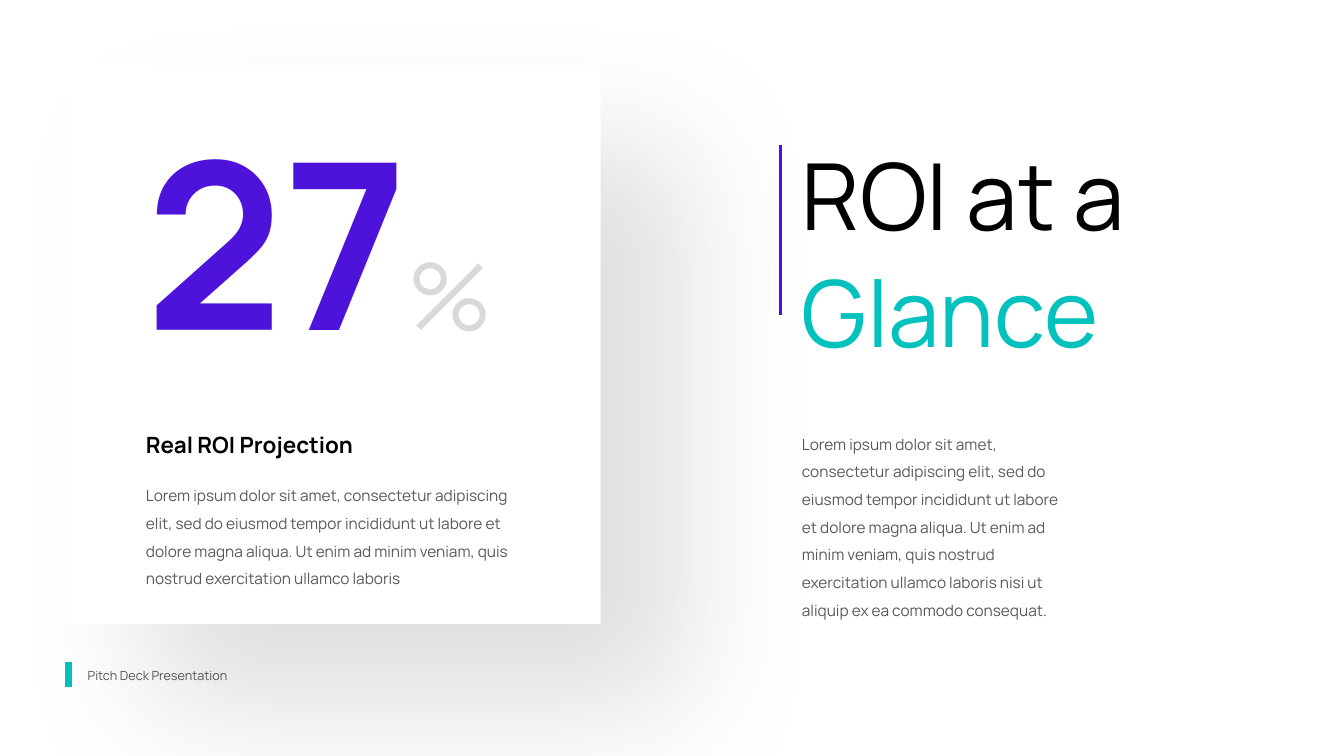
from dataclasses import dataclass

from lxml.etree import SubElement
from pptx import Presentation
from pptx.dml.color import RGBColor
from pptx.enum.shapes import MSO_CONNECTOR as Connector, MSO_SHAPE as Preset
from pptx.enum.text import MSO_ANCHOR as Anchor, MSO_AUTO_SIZE as AutoSize, PP_ALIGN as Align
from pptx.oxml.ns import qn
from pptx.util import Cm, Pt

COLORS = {
    "white": "FFFFFF",
    "black": "000000",
    "gray": "595959",
    "silver": "D9D9D9",
    "teal": "03C2BD",
    "violet": "4E13DB",
}
FONT = "Manrope"
CARD_TEXT_LEFT = 3.43
RIGHT_TEXT_LEFT = 19.96
LOREM = (
    "Lorem ipsum dolor sit amet, consectetur adipiscing elit, sed do eiusmod tempor "
    "incididunt ut labore et dolore magna aliqua. Ut enim ad minim veniam, quis nostrud "
    "exercitation ullamco laboris"
)


@dataclass(frozen=True)
class Run:
    text: str
    size: float
    color: str
    bold: bool = False


@dataclass(frozen=True)
class TextBlock:
    box: tuple[float, float, float, float]
    paragraphs: tuple[tuple[Run, ...], ...]
    line_spacing: float = 1.0


@dataclass(frozen=True)
class Bar:
    x: float
    top: float
    bottom: float
    color: str
    width: float


TITLE = TextBlock(
    (RIGHT_TEXT_LEFT, 3.18, 8.74, 6.07),
    ((Run("ROI at a", 66, "black"),), (Run("Glance", 66, "teal"),)),
    1.06,
)
FOOTER = TextBlock((1.96, 16.69, 4.17, 0.64), ((Run("Pitch Deck Presentation", 9, "gray"),),))
BLOCKS = (
    TextBlock(
        (CARD_TEXT_LEFT, 2.34, 9.3, 7.34),
        ((Run("27", 166, "violet", True), Run("%", 66, "silver")),),
    ),
    TextBlock(
        (CARD_TEXT_LEFT, 10.74, 5.82, 0.94),
        ((Run("Real ROI Projection", 16, "black", True),),),
    ),
    TextBlock((CARD_TEXT_LEFT, 11.89, 10.03, 2.84), ((Run(LOREM, 11, "gray"),),), 1.5),
    TextBlock(
        (RIGHT_TEXT_LEFT, 10.59, 6.99, 5.13),
        ((Run(LOREM + " nisi ut aliquip ex ea commodo consequat.", 11, "gray"),),),
        1.5,
    ),
)
BARS = (
    Bar(1.73, 16.69, 17.32, "teal", 5.25),
    Bar(19.66, 3.66, 7.95, "violet", 2),
)


def rgb(name: str) -> RGBColor:
    return RGBColor.from_string(COLORS[name])


def apply_format(target, values: dict) -> None:
    for name, value in values.items():
        setattr(target, name, value)


def write_text(shape, block: TextBlock) -> None:
    left, top, width, height = map(Cm, block.box)
    apply_format(shape, {"left": left, "top": top, "width": width, "height": height})
    frame = shape.text_frame
    apply_format(frame, {
        "word_wrap": True, "auto_size": AutoSize.SHAPE_TO_FIT_TEXT, "vertical_anchor": Anchor.TOP,
        "margin_left": Cm(0.25), "margin_right": Cm(0.25),
        "margin_top": Cm(0.13), "margin_bottom": Cm(0.13),
    })
    for index, runs in enumerate(block.paragraphs):
        paragraph = frame.add_paragraph() if index else frame.paragraphs[0]
        apply_format(paragraph, {
            "alignment": Align.LEFT, "line_spacing": block.line_spacing, "space_before": Pt(0),
        })
        for item in runs:
            run = paragraph.add_run()
            run.text = item.text
            apply_format(run.font, {"name": FONT, "size": Pt(item.size), "bold": item.bold})
            run.font.color.rgb = rgb(item.color)


def add_text(slide, block: TextBlock) -> None:
    write_text(slide.shapes.add_textbox(*map(Cm, block.box)), block)


def add_bar(slide, bar: Bar) -> None:
    line = slide.shapes.add_connector(
        Connector.STRAIGHT, Cm(bar.x), Cm(bar.top), Cm(bar.x), Cm(bar.bottom)
    )
    line.line.color.rgb = rgb(bar.color)
    line.line.width = Pt(bar.width)
    SubElement(line._element.spPr, qn("a:effectLst"))


def add_card(slide) -> None:
    card = slide.shapes.add_shape(Preset.RECTANGLE, Cm(1.63), Cm(1.63), Cm(13.51), Cm(14.1))
    card.fill.solid()
    card.fill.fore_color.rgb = rgb("white")
    card.line.fill.background()
    card.shadow.inherit = False
    # Soft shadow falling to the lower right
    effects = card._element.spPr.find(qn("a:effectLst"))
    shadow = SubElement(
        effects, qn("a:outerShdw"), blurRad=str(Pt(100)), dist=str(Pt(84.5)),
        dir=str(44 * 60000), algn="tl", rotWithShape="0",
    )
    color = SubElement(shadow, qn("a:srgbClr"), val=COLORS["black"])
    SubElement(color, qn("a:alpha"), val="13000")


def main() -> None:
    presentation = Presentation()
    presentation.slide_width = Cm(33.87)
    presentation.slide_height = Cm(19.05)
    slide = presentation.slides.add_slide(presentation.slide_layouts[5])

    # Title and footer
    write_text(slide.shapes.title, TITLE)
    add_text(slide, FOOTER)
    for bar in BARS:
        add_bar(slide, bar)

    # Card with the key figure, then the texts
    add_card(slide)
    for block in BLOCKS:
        add_text(slide, block)

    presentation.save("out.pptx")


if __name__ == "__main__":
    main()
